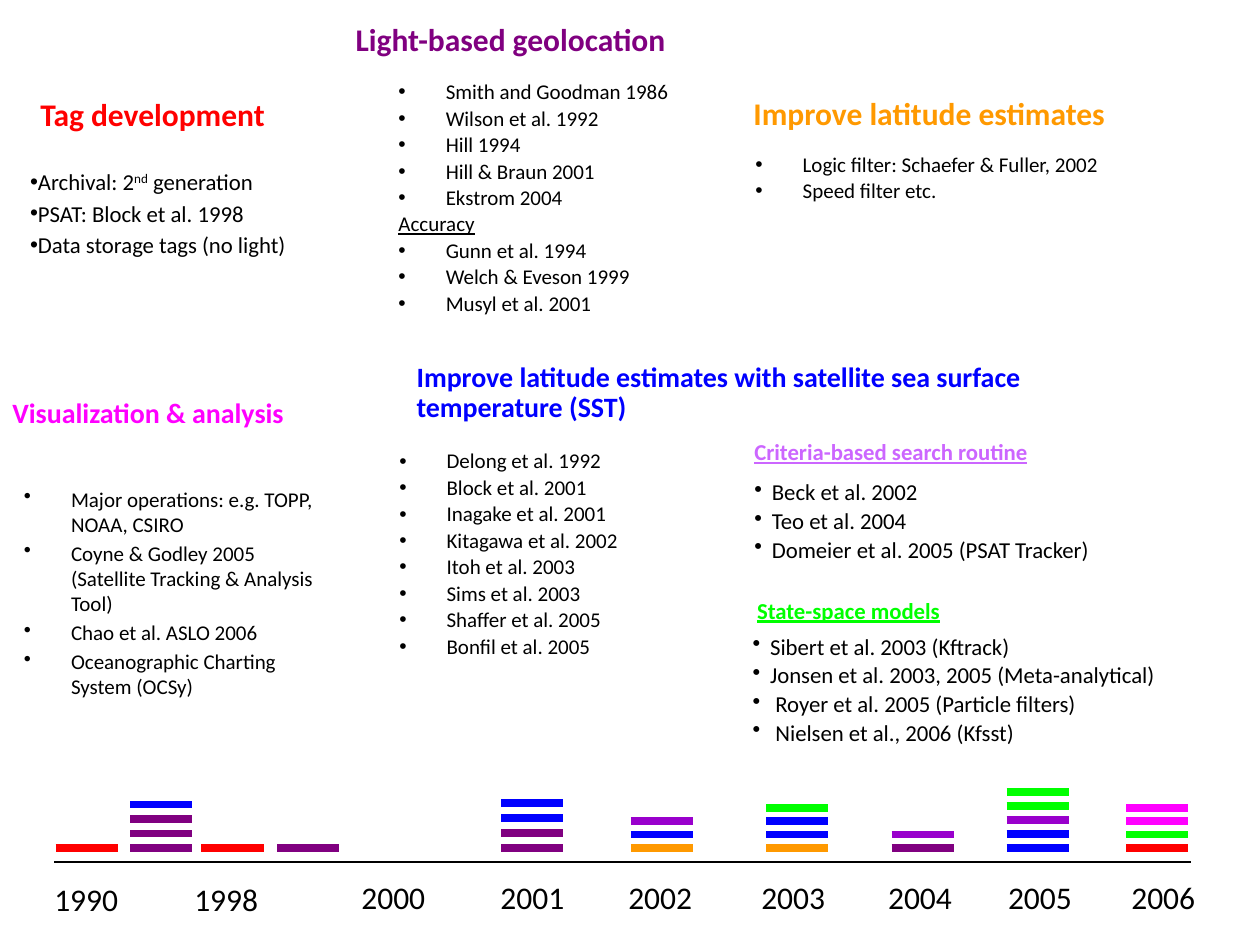
from dataclasses import dataclass
from typing import Optional

from lxml.etree import SubElement
from pptx import Presentation
from pptx.dml.color import RGBColor
from pptx.enum.shapes import MSO_CONNECTOR
from pptx.enum.text import MSO_ANCHOR, MSO_AUTO_SIZE, PP_ALIGN
from pptx.oxml.ns import qn
from pptx.util import Pt

FONT = "Calibri"
HEX = {
    "black": "000000", "red": "FF0000", "plum": "800080", "gold": "FF9900",
    "blue": "0000FF", "lilac": "CC66FF", "violet": "9900CC",
    "green": "00FF00", "pink": "FF00FF",
}


@dataclass
class Head:
    text: str
    box: tuple
    size: float
    hue: str
    lead: float = 0.9
    under: bool = False


@dataclass
class Run:
    text: str
    under: bool = False
    lift: int = 0


@dataclass
class Item:
    runs: list
    bullet: bool = True
    gap: Optional[float] = None


@dataclass
class Block:
    items: list
    box: tuple
    size: float = 12
    gap: float = 27
    lead: float = 0.9


@dataclass
class Year:
    label: str
    left: float
    top: float = 502


@dataclass
class Stack:
    left: float
    step: float
    hues: list


def plain(*texts: str, gap: Optional[float] = None) -> list:
    return [Item([Run(text)], gap=gap) for text in texts]


HEADS = [
    Head("Light-based geolocation", (196, 8, 222, 29), 18, "plum", 1.0),
    Head("Tag development", (16, 50.5, 163, 29), 18, "red", 1.0),
    Head("Improve latitude estimates", (423.5, 52.5, 241, 27), 18, "gold"),
    Head("Improve latitude estimates with satellite sea surface temperature (SST)",
         (231, 204, 439, 42), 16, "blue"),
    Head("Criteria-based search routine", (424, 248.5, 196, 22), 13, "lilac", under=True),
    Head("State-space models", (425.5, 339, 137, 22), 13, "green", under=True),
    Head("Visualization & analysis", (0, 222.5, 179, 46), 16, "pink", 1.0),
]

BLOCKS = [
    Block(plain("Smith and Goodman 1986", "Wilson et al. 1992", "Hill 1994",
                "Hill & Braun 2001", "Ekstrom 2004")
          + [Item([Run("Accuracy", under=True)], bullet=False)]
          + plain("Gunn et al. 1994", "Welch & Eveson 1999", "Musyl et al. 2001"),
          (220.5, 43, 238, 152)),
    Block(plain("Delong et al. 1992", "Block et al. 2001", "Inagake et al. 2001",
                "Kitagawa et al. 2002", "Itoh et al. 2003", "Sims et al. 2003",
                "Shaffer et al. 2005", "Bonfil et al. 2005"),
          (221, 254, 200, 150)),
    Block(plain("Logic filter: Schaefer & Fuller, 2002", "Speed filter etc."),
          (424.5, 84.5, 231, 50)),
    Block([Item([Run("Archival: 2"), Run("nd", lift=30000), Run(" generation")])]
          + plain("PSAT: Block et al. 1998", "Data storage tags (no light)"),
          (10, 92.4, 185, 61), 13, 0, 1.0),
    Block(plain("Beck et al. 2002", "Teo et al. 2004",
                "Domeier et al. 2005 (PSAT Tracker)"),
          (424, 271.5, 280, 56), 13, 10),
    Block(plain("Sibert et al. 2003 (Kftrack)",
                "Jonsen et al. 2003, 2005 (Meta-analytical)")
          + plain("Royer et al. 2005 (Particle filters)",
                  "Nielsen et al., 2006 (Kfsst)", gap=13),
          (423, 359.5, 296, 74), 13, 10),
    Block(plain("Major operations: e.g. TOPP, NOAA, CSIRO",
                "Coyne & Godley 2005 (Satellite Tracking & Analysis Tool)",
                "Chao et al. ASLO 2006", "Oceanographic Charting System (OCSy)"),
          (6.5, 274.3, 188.6, 152), lead=1.0),
]

YEARS = [
    Year("1990", 31, 502.6), Year("1998", 111, 502.6), Year("2000", 206.5),
    Year("2001", 286), Year("2002", 359), Year("2003", 435), Year("2004", 507.5),
    Year("2005", 576), Year("2006", 646.5),
]

# Bars from the axis upwards
STACKS = [
    Stack(31.8, 8, ["red"]),
    Stack(74.3, 8.3, ["plum", "plum", "plum", "blue"]),
    Stack(115, 8, ["red"]),
    Stack(158.3, 8, ["plum"]),
    Stack(286.3, 8.6, ["plum", "plum", "blue", "blue"]),
    Stack(360.5, 7.7, ["gold", "blue", "violet"]),
    Stack(437.8, 7.7, ["gold", "blue", "blue", "green"]),
    Stack(509.5, 7.7, ["plum", "violet"]),
    Stack(575.2, 8, ["blue", "blue", "violet", "green", "green"]),
    Stack(643.5, 7.7, ["red", "green", "pink", "pink"]),
]
BASE, WIDE = 484.6, 35.6


def place(shape, box: tuple):
    shape.left, shape.top, shape.width, shape.height = (Pt(v) for v in box)
    frame = shape.text_frame
    frame.word_wrap = True
    frame.auto_size = MSO_AUTO_SIZE.NONE
    frame.vertical_anchor = MSO_ANCHOR.TOP
    return frame


def write(para, run: Run, size: float, hue: str, bold: bool = False) -> None:
    part = para.add_run()
    part.text = run.text
    font = part.font
    font.name, font.size, font.bold = FONT, Pt(size), bold
    font.underline = run.under
    font.color.rgb = RGBColor.from_string(HEX[hue])
    if run.lift:
        part._r.get_or_add_rPr().set("baseline", str(run.lift))


def draw_head(shape, head: Head) -> None:
    para = place(shape, head.box).paragraphs[0]
    para.alignment = PP_ALIGN.LEFT
    para.line_spacing = head.lead
    write(para, Run(head.text, head.under), head.size, head.hue, True)


def draw_block(shape, block: Block) -> None:
    frame = place(shape, block.box)
    for i, item in enumerate(block.items):
        para = frame.add_paragraph() if i else frame.paragraphs[0]
        gap = block.gap if item.gap is None else item.gap
        props = para._p.get_or_add_pPr()
        props.set("marL", str(Pt(gap)))
        props.set("indent", str(-Pt(gap)))
        if item.bullet:
            SubElement(props, qn("a:buChar")).set("char", "•")
        else:
            SubElement(props, qn("a:buNone"))
        para.line_spacing = block.lead
        para.space_before = Pt(0.18 * block.size if i else 0)
        for run in item.runs:
            write(para, run, block.size, "black")


def draw_line(shapes, left: float, top: float, width: float, hue: str, thick: float) -> None:
    line = shapes.add_connector(MSO_CONNECTOR.STRAIGHT, Pt(left), Pt(top),
                                Pt(left + width), Pt(top))
    line.line.color.rgb = RGBColor.from_string(HEX[hue])
    line.line.width = Pt(thick)
    SubElement(line._element.spPr, qn("a:effectLst"))


def draw_year(shapes, year: Year) -> None:
    frame = place(shapes.add_textbox(0, 0, 0, 0), (year.left, year.top, 43, 22))
    frame.margin_left = frame.margin_right = frame.margin_top = frame.margin_bottom = 0
    write(frame.paragraphs[0], Run(year.label), 18, "black")


def main() -> None:
    deck = Presentation()
    deck.slide_width, deck.slide_height = Pt(720), Pt(540)
    slide = deck.slides.add_slide(deck.slide_layouts[4])
    shapes = slide.shapes

    # Lists fill the body placeholders first, then text boxes
    slots = iter([p for p in slide.placeholders if p.placeholder_format.idx])
    for block in BLOCKS:
        slot = next(slots, None)
        draw_block(shapes.add_textbox(0, 0, 0, 0) if slot is None else slot, block)

    # Headings
    draw_head(shapes.title, HEADS[0])
    for head in HEADS[1:]:
        draw_head(shapes.add_textbox(0, 0, 0, 0), head)

    # Timeline
    draw_line(shapes, 31, 492.5, 649.5, "black", 0.75)
    for year in YEARS:
        draw_year(shapes, year)
    for stack in STACKS:
        for level, hue in enumerate(stack.hues):
            draw_line(shapes, stack.left, BASE - level * stack.step, WIDE, hue, 4.5)

    deck.save("out.pptx")


if __name__ == "__main__":
    main()
